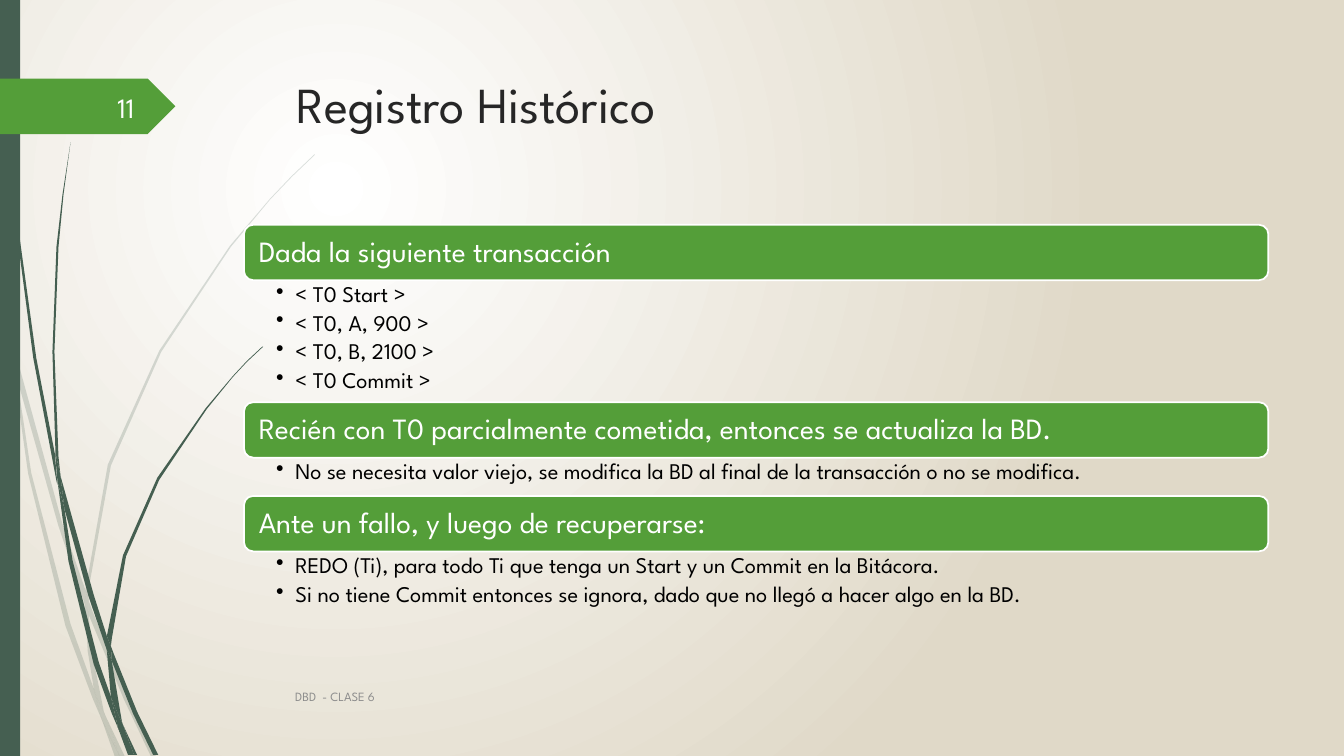
from lxml import etree
from pptx import Presentation
from pptx import util as u
from pptx.dml.color import RGBColor
from pptx.enum import shapes, text
from pptx.oxml import parse_xml
from pptx.oxml.ns import nsdecls, qn

# The slide is a grid of 1333 columns by 750 rows; every length counts cells.
CELL = u.Inches(0.01)
COLS, ROWS = 1333, 750
FONT = "League Spartan"
COLORS = {
    "pine": "455F51", "green": "549E39", "white": "FFFFFF", "sand": "E0D9C8",
    "title": "262626", "black": "000000", "footer": "8C8C8C", "number": "FEFFFF",
}
LEFT, WIDTH, BAR_H, LINE_H = 242, 1016, 55, 28

# Outline points of the grass blades, as column,row pairs
PALE_BLADES = [
    "11,350 9,322 0,282 0,299 10,344",
    "58,522 84,599 85,586 62,520 14,345 17,376",
    "92,607 88,596 88,610 123,694 150,751 155,751 127,692",
    "119,751 124,751 105,711",
    "93,683 70,619 31,469 17,376 11,350 28,470 65,621 92,693 101,714 99,707",
    "84,599 87,646 93,683 96,692 105,711 103,706 91,646 88,610 88,608",
    "88,584 110,462 160,349 229,245 268,198 290,175 312,154 312,153 289,175 "
    "268,197 228,244 158,348 107,461 85,584 85,586 88,596",
    "101,714 114,751 119,751",
    "88,608 88,610 88,596 85,586 84,599",
    "96,692 93,683 99,707 101,714 119,751 105,711",
]
DARK_BLADES = [
    "7,110 17,233 33,355 56,477 57,481 55,457 55,453 36,355 19,232 8,109 "
    "5,48 4,0 3,0 4,48",
    "88,592 106,645 106,633 106,631 93,590 60,472 64,505",
    "113,649 110,641 111,656 132,708 152,749 157,749 136,706",
    "110,691 98,657 72,556 64,505 57,477 68,557 93,659 111,708 117,722 116,717",
    "60,472 58,453 54,349 58,245 63,193 70,141 62,193 56,245 52,349 55,449",
    "133,749 136,749 122,719",
    "57,477 64,505 60,472 55,449 55,453",
    "111,633 125,552 158,476 205,406 231,374 245,359 261,344 260,344 245,358 "
    "231,373 204,405 156,474 122,551 106,631 110,641",
    "117,722 127,749 131,749",
    "106,645 110,691 116,706 122,719 121,716 111,656 109,651",
    "106,645 109,651 111,656 110,641 106,631 106,633",
    "116,706 110,691 116,717 117,722 130,749 133,749 122,719",
]

SECTIONS = [
    ("Dada la siguiente transacción",
     ["< T0 Start >", "< T0, A, 900 >", "< T0, B, 2100 >", "< T0 Commit >"], 121),
    ("Recién con T0 parcialmente cometida, entonces se actualiza la BD.",
     ["No se necesita valor viejo, se modifica la BD al final de la transacción "
      "o no se modifica."], 38),
    ("Ante un fallo, y luego de recuperarse:",
     ["REDO (Ti), para todo Ti que tenga un Start y un Commit en la Bitácora.",
      "Si no tiene Commit entonces se ignora, dado que no llegó a hacer algo en "
      "la BD."], 61),
]


def paint(sp, color, line=None):
    sp.shadow.inherit = False
    sp.fill.solid()
    sp.fill.fore_color.rgb = RGBColor.from_string(COLORS[color])
    if line:
        sp.line.color.rgb = RGBColor.from_string(COLORS[line])
        sp.line.width = u.Pt(1.25)
    else:
        sp.line.fill.background()


def write(sp, lines, size, color, anchor=text.MSO_ANCHOR.MIDDLE,
          align=text.PP_ALIGN.LEFT, insets=(10, 5, 10, 5)):
    """Fill a shape with one paragraph per line; insets are left, top, right, bottom."""
    tf = sp.text_frame
    tf.word_wrap = True
    tf.auto_size = text.MSO_AUTO_SIZE.NONE
    tf.vertical_anchor = anchor
    tf.margin_left, tf.margin_top, tf.margin_right, tf.margin_bottom = (
        CELL * n for n in insets)
    tf.text = "\n".join(lines)
    for p in tf.paragraphs:
        p.alignment = align
        for r in p.runs:
            r.font.name = FONT
            r.font.size = u.Pt(size)
            r.font.color.rgb = RGBColor.from_string(COLORS[color])


prs = Presentation()
prs.slide_width, prs.slide_height = CELL * COLS, CELL * ROWS
slide = prs.slides.add_slide(prs.slide_layouts[5])
tree = slide.shapes

# Background: light spot a quarter of the way in from the top left
slide._element.cSld.insert(0, parse_xml(
    f'<p:bg {nsdecls("p", "a")}><p:bgPr><a:gradFill rotWithShape="1"><a:gsLst>'
    f'<a:gs pos="0"><a:srgbClr val="{COLORS["white"]}"/></a:gs>'
    f'<a:gs pos="100000"><a:srgbClr val="{COLORS["sand"]}"/></a:gs></a:gsLst>'
    '<a:path path="circle"><a:fillToRect l="50000" t="50000" r="100000" b="100000"/>'
    '</a:path></a:gradFill><a:effectLst/></p:bgPr></p:bg>'))

# Grass blades
for blades, alpha in ((PALE_BLADES, 20), (DARK_BLADES, 100)):
    for blade in blades:
        points = [tuple(CELL * int(n) for n in pair.split(","))
                  for pair in blade.split()]
        builder = tree.build_freeform(*points[0])
        builder.add_line_segments(points[1:], close=True)
        sp = builder.convert_to_shape()
        paint(sp, "pine")
        if alpha < 100:
            rgb = sp._element.spPr.find(".//" + qn("a:srgbClr"))
            etree.SubElement(rgb, qn("a:alpha"), val=str(alpha * 1000))

# Side strip and page tag
strip = tree.add_shape(shapes.MSO_SHAPE.RECTANGLE, 0, 0, CELL * 20, CELL * ROWS)
paint(strip, "pine")
tag = tree.add_shape(shapes.MSO_SHAPE.PENTAGON, 0, CELL * 78, CELL * 174, CELL * 55)
paint(tag, "green")

# Title
title = tree.title
title.left, title.top, title.width, title.height = (
    CELL * n for n in (284, 68, 975, 140))
write(title, ["Registro Histórico"], 36, "title", text.MSO_ANCHOR.TOP)

# Green bars, each followed by its bullets
top = 223
for heading, bullets, list_h in SECTIONS:
    bar = tree.add_shape(shapes.MSO_SHAPE.ROUNDED_RECTANGLE,
                         CELL * LEFT, CELL * top, CELL * WIDTH, CELL * BAR_H)
    paint(bar, "green", "white")
    write(bar, [heading], 21, "white", insets=(12, 9, 12, 9))
    bar.text_frame.paragraphs[0].line_spacing = 0.9
    top += BAR_H

    box = tree.add_textbox(CELL * LEFT, CELL * top, CELL * WIDTH, CELL * list_h)
    write(box, bullets, 16, "black", text.MSO_ANCHOR.TOP, insets=(32, 3, 16, 3))
    for p in box.text_frame.paragraphs:
        p.line_spacing = 0.9
        pPr = p._p.get_or_add_pPr()
        pPr.set("marL", str(CELL * 19))
        pPr.set("indent", str(-CELL * 19))
        after = etree.SubElement(pPr, qn("a:spcAft"))
        etree.SubElement(after, qn("a:spcPct"), val="20000")
        etree.SubElement(pPr, qn("a:buChar"), char="•")
    top += list_h

# Footer and page number
footer = tree.add_textbox(CELL * 283, CELL * 671, CELL * 833, CELL * 40)
write(footer, ["DBD  - CLASE 6"], 9, "footer")
number = tree.add_textbox(CELL * 58, CELL * 86, CELL * 85, CELL * 40)
write(number, ["11"], 20, "number", align=text.PP_ALIGN.RIGHT)

prs.save("out.pptx")
